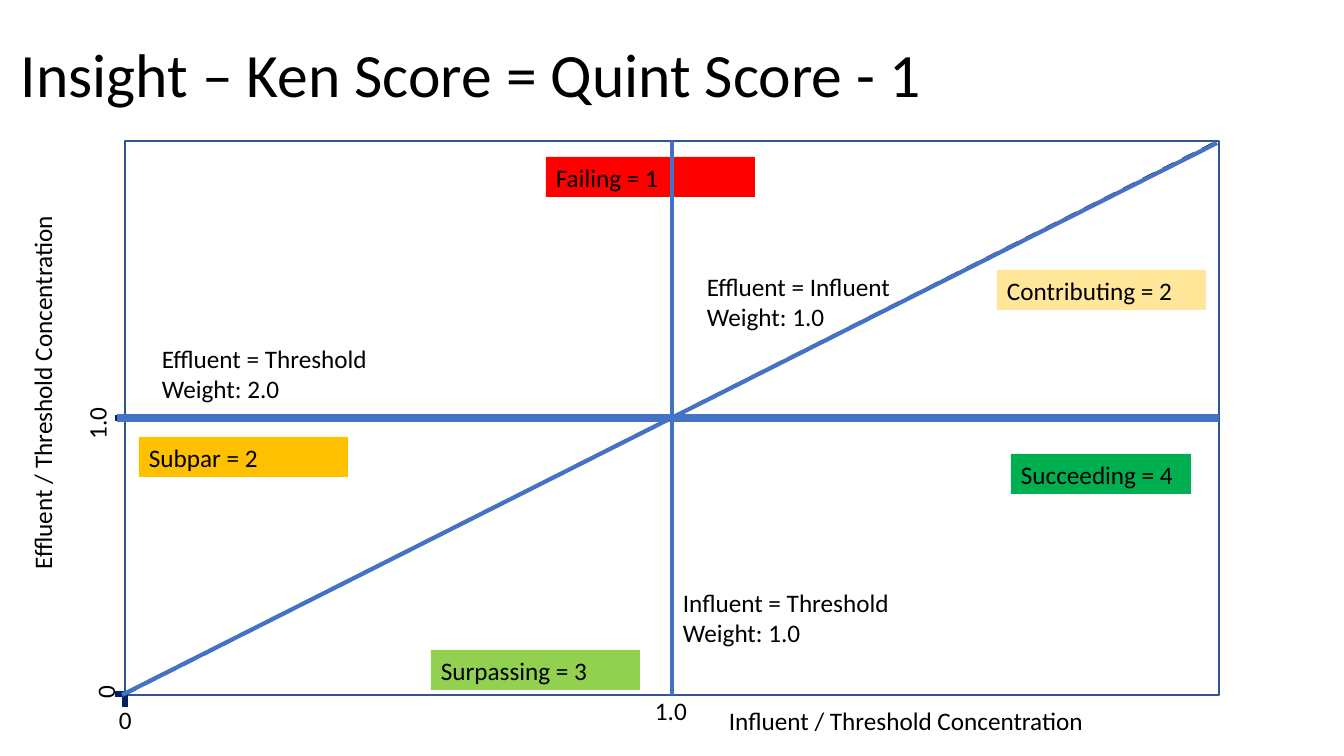
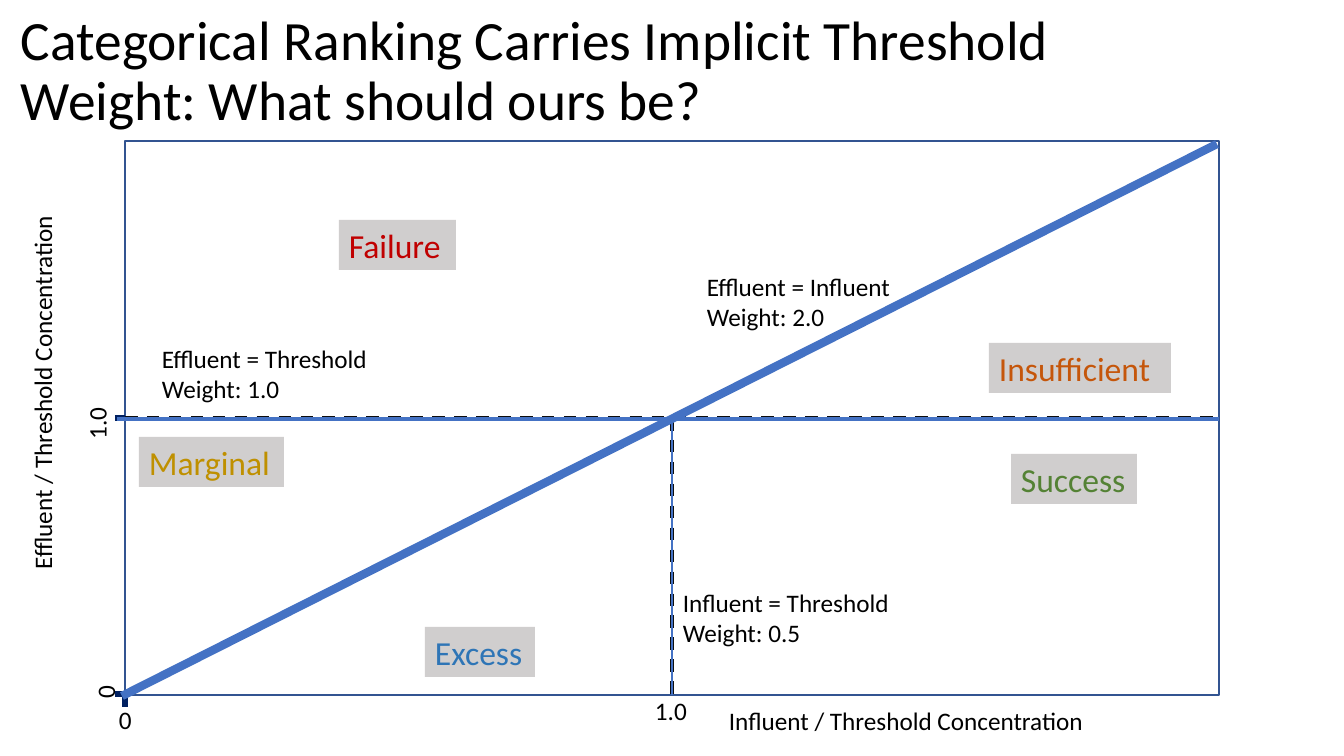
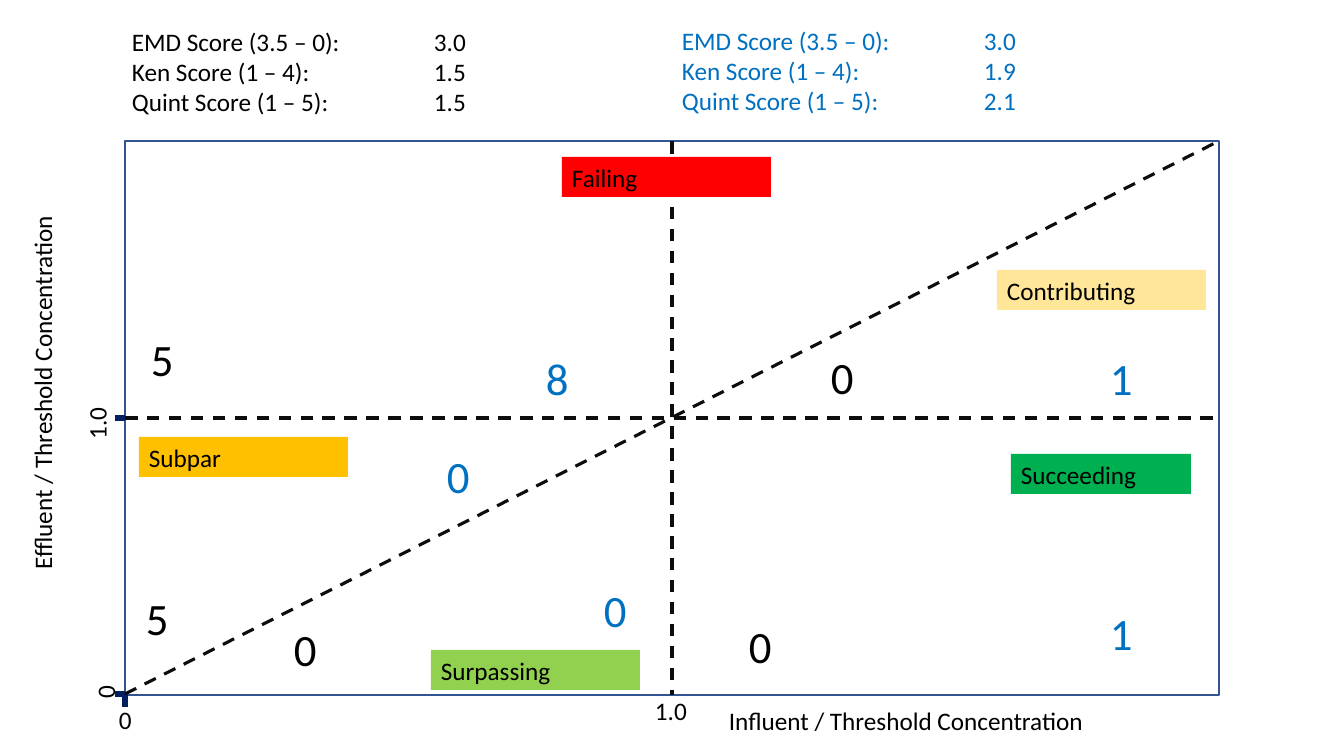
"""Build three slides that plot effluent against influent scoring zones."""
from dataclasses import dataclass

from lxml import etree
from pptx import Presentation
from pptx import util as u
from pptx.dml.color import RGBColor
from pptx.enum import dml, shapes, text
from pptx.oxml.ns import qn


@dataclass(frozen=True)
class Theme:
    font: str = "Calibri"
    ink: str = "000000"
    paper: str = "FFFFFF"
    frame: str = "325491"
    tick: str = "002060"
    dash: str = "0D0D0D"
    accent: str = "4472C4"
    second: str = "0070C0"
    gray: str = "D0CECE"
    body: float = 18
    zone: float = 24
    count: float = 32


theme = Theme()
PX = 914400 / 100.8
LEFT, TOP, WIDTH, HEIGHT = 125, 141, 1094, 554
RIGHT, BOTTOM = LEFT + WIDTH, TOP + HEIGHT
MID_X, MID_Y = LEFT + WIDTH // 2, TOP + HEIGHT // 2
TAB_STOP = 302


def write(page, words, frame, size=theme.body, color=theme.ink, fill=None, turn=0, grow=True):
    box = page.shapes.add_textbox(*(u.Emu(round(n * PX)) for n in frame))
    box.rotation = turn
    if fill:
        box.fill.solid()
        box.fill.fore_color.rgb = RGBColor.from_string(fill)
    body = box.text_frame
    body.word_wrap = True
    body.auto_size = text.MSO_AUTO_SIZE.SHAPE_TO_FIT_TEXT if grow else text.MSO_AUTO_SIZE.NONE
    body.text = words
    for para in body.paragraphs:
        for span in para.runs:
            span.font.name = theme.font
            span.font.size = u.Pt(size)
            span.font.color.rgb = RGBColor.from_string(color)
    return body


def rule(page, start, end, color, weight, dashed=False):
    line = page.shapes.add_connector(
        shapes.MSO_CONNECTOR.STRAIGHT, *(u.Emu(round(n * PX)) for n in (*start, *end)))
    line.line.color.rgb = RGBColor.from_string(color)
    line.line.width = u.Pt(weight)
    if dashed:
        line.line.dash_style = dml.MSO_LINE.DASH
    etree.SubElement(line._element.spPr, qn("a:effectLst"))


deck = Presentation()
deck.slide_width, deck.slide_height = u.Emu(round(1344 * PX)), u.Emu(round(756 * PX))
pages = [deck.slides.add_slide(deck.slide_layouts[6]) for _ in range(3)]
score_page, weight_page, count_page = pages

for page in pages:
    plot = page.shapes.add_shape(
        shapes.MSO_SHAPE.RECTANGLE, *(u.Emu(round(n * PX)) for n in (LEFT, TOP, WIDTH, HEIGHT)))
    plot.shadow.inherit = False
    plot.fill.solid()
    plot.fill.fore_color.rgb = RGBColor.from_string(theme.paper)
    plot.line.color.rgb = RGBColor.from_string(theme.frame)
    plot.line.width = u.Pt(1)

    for words, frame, turn in (
        ("Effluent / Threshold Concentration", (-179, 338, 442, 40), 270),
        ("1.0", (64, 397, 65, 40), 270),
        ("0", (91, 674, 28, 40), 270),
        ("1.0", (645, 690, 53, 36), 0),
        ("0", (109, 699, 32, 36), 0),
        ("Influent / Threshold Concentration", (719, 700, 423, 36), 0),
    ):
        write(page, words, frame, turn=turn)

    for start, end in (
        ((LEFT - 10, MID_Y), (LEFT, MID_Y)),
        ((LEFT - 10, BOTTOM - 1), (LEFT, BOTTOM - 1)),
        ((LEFT, BOTTOM - 1), (LEFT, BOTTOM + 12)),
    ):
        rule(page, start, end, theme.tick, 4.5)

    divider_top = MID_Y if page is weight_page else TOP
    for start, end in (
        ((LEFT, MID_Y), (RIGHT, MID_Y)),
        ((MID_X, divider_top), (MID_X, BOTTOM)),
        ((LEFT, BOTTOM - 1), (RIGHT, TOP)),
    ):
        rule(page, start, end, theme.dash, 2.25, dashed=True)

for page, scored, failing_left in ((score_page, True, 546), (count_page, False, 562)):
    for name, score, left, top, width, fill in (
        ("Succeeding", 4, 1011, 454, 180, "00B050"),
        ("Contributing", 2, 997, 270, 209, "FFE699"),
        ("Surpassing", 3, 431, 650, 209, "92D050"),
        ("Subpar", 2, 139, 437, 209, "FFC000"),
        ("Failing", 1, failing_left, 157, 209, "FF0000"),
    ):
        words = f"{name} = {score}" if scored else name
        write(page, words, (left, top, width, 40), fill=fill)

for name, left, top, width, color in (
    ("Success", 1011, 454, 126, "548235"),
    ("Insufficient", 989, 343, 182, "C5560B"),
    ("Excess", 425, 627, 110, "2E75B6"),
    ("Marginal", 139, 437, 145, "BF9000"),
    ("Failure", 339, 220, 117, "C00000"),
):
    write(weight_page, name, (left, top, width, 50), theme.zone, color, theme.gray)

for page, title, size, height, weights, widths, shift in (
    (score_page, "Insight – Ken Score = Quint Score - 1", 44, 146,
     ("2.0", "1.0", "1.0"), (6, 3, 3), 0),
    (weight_page, "Categorical Ranking Carries Implicit Threshold Weight: What should ours be?",
     39.6, 135, ("1.0", "0.5", "2.0"), (3, 6, 1.5), 1),
):
    heading = write(page, title, (11, 5, 1159, height), size, grow=False)
    heading.vertical_anchor = text.MSO_ANCHOR.MIDDLE
    heading.paragraphs[0].line_spacing = 0.9

    notes = (("Effluent = Threshold", 152, 338),
             ("Influent = Threshold", 673, 582),
             ("Effluent = Influent", 697, 266))
    for (name, left, top), weight in zip(notes, weights):
        write(page, f"{name} Weight: {weight}", (left, top, 234, 72))

    strokes = (((LEFT - 8, MID_Y + shift), (RIGHT, MID_Y + shift)),
               ((LEFT - 3, BOTTOM + shift), (RIGHT - 2, TOP + 2 + shift)),
               ((MID_X, BOTTOM), (MID_X, MID_Y if page is weight_page else TOP)))
    for (start, end), width in zip(strokes, widths):
        rule(page, start, end, theme.accent, width)

for left, top, color, scores in (
    (122, 21, theme.ink, ("3.0", "1.5", "1.5")),
    (672, 20, theme.second, ("3.0", "1.9", "2.1")),
):
    names = ("EMD Score (3.5 – 0):", "Ken Score (1 – 4):", "Quint Score (1 – 5):")
    words = "\n".join(f"{name}\t{score}" for name, score in zip(names, scores))
    summary = write(count_page, words, (left, top, 550, 102), color=color)
    for para in summary.paragraphs:
        stops = etree.SubElement(para._p.get_or_add_pPr(), qn("a:tabLst"))
        etree.SubElement(stops, qn("a:tab"), pos=str(round(TAB_STOP * PX)), algn="l")

for color, counts in (
    (theme.ink, (("0", 284, 617), ("5", 141, 327), ("0", 739, 614),
                 ("0", 821, 345), ("5", 136, 586))),
    (theme.second, (("1", 1100, 346), ("1", 1100, 601), ("0", 437, 444),
                    ("8", 536, 346), ("0", 594, 578))),
):
    for count, left, top in counts:
        write(count_page, count, (left, top, 105, 65), theme.count, color)

deck.save("out.pptx")
